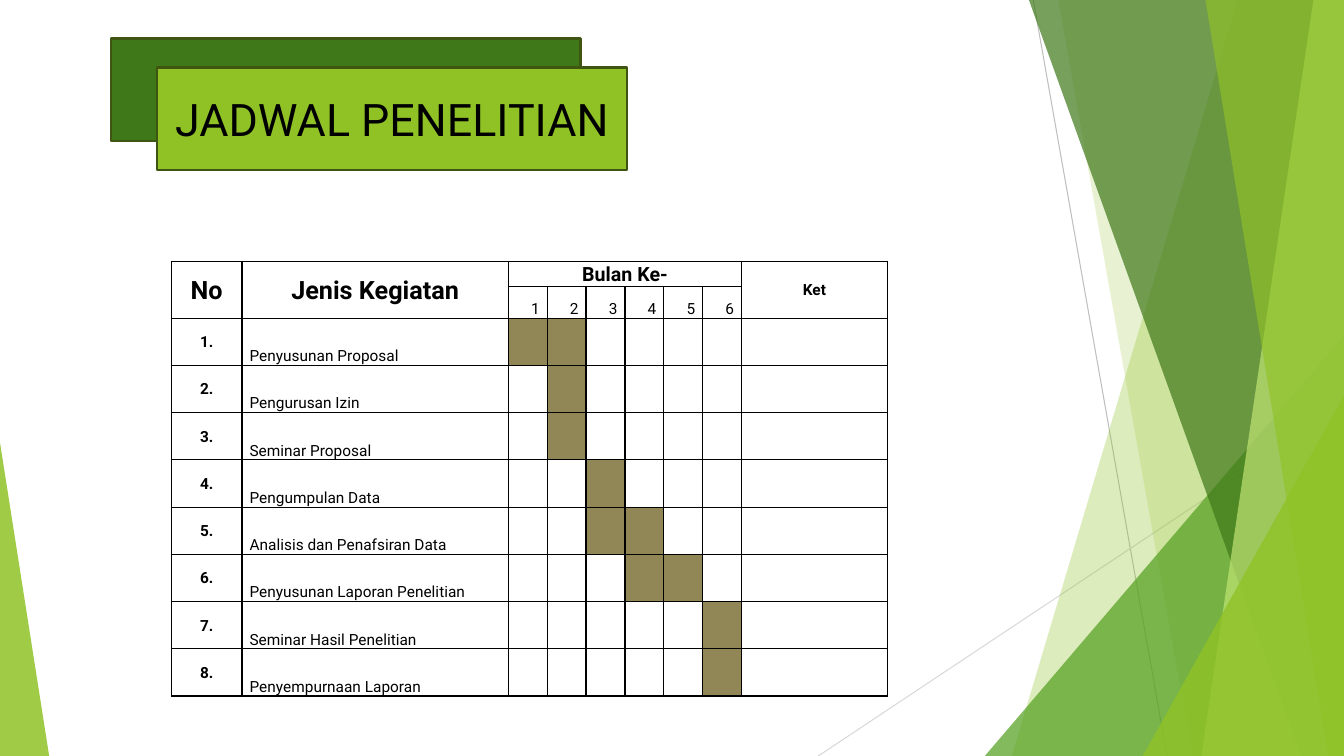
import dataclasses

import pptx
import pptx.dml.color
import pptx.enum.shapes
import pptx.enum.text
import pptx.oxml
import pptx.oxml.ns
import pptx.util

Cm = pptx.util.Cm
Pt = pptx.util.Pt
Align = pptx.enum.text.PP_ALIGN
Anchor = pptx.enum.text.MSO_ANCHOR
Preset = pptx.enum.shapes.MSO_SHAPE
NAMESPACE = pptx.oxml.ns.nsdecls("a")


@dataclasses.dataclass(frozen=True)
class Theme:
    font: str = "Roboto"
    ink: str = "000000"
    paper: str = "FFFFFF"
    lime: str = "90C226"
    pale_lime: str = "C0E474"
    green: str = "54A021"
    forest: str = "3F7819"
    outline: str = "3F5511"
    active: str = "918655"
    line_dark: str = "BFBFBF"
    line_light: str = "D9D9D9"
    title_size: int = 32
    heading_size: int = 18
    group_size: int = 14
    body_size: int = 11


def rgb(value):
    return pptx.dml.color.RGBColor.from_string(value)


class SlideBuilder:
    def __init__(self, slide, theme):
        self.slide = slide
        self.shapes = slide.shapes
        self.theme = theme

    def paint(self, shape, color, opacity=100, outline=None):
        shape.shadow.inherit = False
        shape.fill.solid()
        shape.fill.fore_color.rgb = rgb(color)
        if opacity < 100:
            fill_color = shape.element.spPr.find(".//" + pptx.oxml.ns.qn("a:srgbClr"))
            fill_color.append(pptx.oxml.parse_xml(
                f'<a:alpha {NAMESPACE} val="{opacity * 1000}"/>'))
        if outline:
            shape.line.color.rgb = rgb(outline)
            shape.line.width = Pt(1.5)
        else:
            shape.line.fill.background()

    def line(self, start, end, color):
        connector = self.shapes.add_connector(
            pptx.enum.shapes.MSO_CONNECTOR.STRAIGHT, *map(Cm, start + end))
        connector.line.color.rgb = rgb(color)
        connector.line.width = Pt(0.75)
        connector.element.spPr.append(
            pptx.oxml.parse_xml(f"<a:effectLst {NAMESPACE}/>"))

    def preset(self, kind, box, color, opacity=100, outline=None, adjustment=None):
        shape = self.shapes.add_shape(kind, *map(Cm, box))
        if adjustment is not None:
            shape.adjustments[0] = adjustment
        self.paint(shape, color, opacity, outline)

    def polygon(self, points, color, opacity):
        first, *rest = [(Cm(x), Cm(y)) for x, y in points]
        builder = self.shapes.build_freeform(*first)
        builder.add_line_segments(rest, close=True)
        self.paint(builder.convert_to_shape(), color, opacity)

    def add_text(self, frame, text, size, align, bold=False):
        paragraph = frame.paragraphs[0]
        paragraph.alignment = align
        run = paragraph.add_run()
        run.text = text
        run.font.name = self.theme.font
        run.font.size = Pt(size)
        run.font.bold = bold
        run.font.color.rgb = rgb(self.theme.ink)
        return paragraph

    def title(self, text, box, color, outline):
        title = self.shapes.title
        title.left, title.top, title.width, title.height = map(Cm, box)
        self.paint(title, color, outline=outline)
        frame = title.text_frame
        frame.word_wrap = True
        frame.auto_size = pptx.enum.text.MSO_AUTO_SIZE.NONE
        frame.vertical_anchor = Anchor.MIDDLE
        self.add_text(frame, text, self.theme.title_size, Align.CENTER)
        self.shapes.element.append(title.element)  # bring to the front

    def table(self, left, top, widths, heights):
        table = self.shapes.add_table(
            len(heights), len(widths), Cm(left), Cm(top),
            Cm(sum(widths)), Cm(sum(heights))).table
        table.first_row = table.horz_banding = False
        for column, width in zip(table.columns, widths):
            column.width = Cm(width)
        for row, height in zip(table.rows, heights):
            row.height = Cm(height)
        for cell in table.iter_cells():
            self.fill_cell(cell, self.theme.paper)
            cell.margin_left = cell.margin_right = Cm(0.19)
            cell.margin_top = cell.margin_bottom = 0
            properties = cell._tc.get_or_add_tcPr()
            for position, side in enumerate("LRTB"):
                properties.insert(position, pptx.oxml.parse_xml(
                    f'<a:ln{side} {NAMESPACE} w="12700"><a:solidFill>'
                    f'<a:srgbClr val="{self.theme.ink}"/></a:solidFill></a:ln{side}>'))
        return table

    def fill_cell(self, cell, color):
        cell.fill.solid()
        cell.fill.fore_color.rgb = rgb(color)

    def cell_text(self, cell, text, size, align, anchor, bold=False):
        cell.vertical_anchor = anchor
        paragraph = self.add_text(cell.text_frame, text, size, align, bold)
        paragraph.line_spacing = 1.07
        paragraph.space_after = Pt(8)


WIDTH, HEIGHT = 33.87, 19.05
MONTHS = 6
FIRST_MONTH = 2  # column index of month 1
NOTES = FIRST_MONTH + MONTHS

# Activity and the months in which it runs
ACTIVITIES = [
    ("Penyusunan Proposal", (1, 2)),
    ("Pengurusan Izin", (2,)),
    ("Seminar Proposal", (2,)),
    ("Pengumpulan Data", (3,)),
    ("Analisis dan Penafsiran Data", (3, 4)),
    ("Penyusunan Laporan Penelitian", (4, 5)),
    ("Seminar Hasil Penelitian", (6,)),
    ("Penyempurnaan Laporan", (6,)),
]


def draw_backdrop(page):
    theme = page.theme

    def band(top_x, bottom_x, color, opacity):
        page.polygon([(top_x, 0), (WIDTH, 0), (WIDTH, HEIGHT), (bottom_x, HEIGHT)],
                     color, opacity)

    def corner(left, top, width, color, opacity, apex):
        page.preset(Preset.ISOSCELES_TRIANGLE, (left, top, width, HEIGHT - top),
                    color, opacity, adjustment=apex)

    page.line((26.04, 0), (29.41, HEIGHT), theme.line_dark)
    page.line((WIDTH, 10.24), (20.62, HEIGHT), theme.line_light)
    band(31.19, 25.5, theme.lime, 30)
    band(26.67, 30.05, theme.lime, 20)
    corner(24.82, 8.46, WIDTH - 24.82, theme.green, 72, 1)
    band(25.93, 32.79, theme.forest, 70)
    band(33.1, 30.28, theme.pale_lime, 70)
    band(30.38, 33.48, theme.lime, 65)
    corner(28.8, 9.98, WIDTH - 28.8, theme.lime, 80, 1)
    corner(0, 11.15, 1.24, theme.lime, 85, 0)


def draw_schedule(page):
    theme = page.theme
    schedule = page.table(4.32, 6.58, [1.78, 6.71] + [0.98] * MONTHS + [3.67],
                          [0.64, 0.64] + [1.19] * len(ACTIVITIES))

    # Header rows
    for column, heading, size in ((0, "No", theme.heading_size),
                                  (1, "Jenis Kegiatan", theme.heading_size),
                                  (NOTES, "Ket", theme.body_size)):
        schedule.cell(0, column).merge(schedule.cell(1, column))
        page.cell_text(schedule.cell(0, column), heading, size,
                       Align.CENTER, Anchor.MIDDLE, bold=True)
    months_heading = schedule.cell(0, FIRST_MONTH)
    months_heading.merge(schedule.cell(0, NOTES - 1))
    page.cell_text(months_heading, "Bulan Ke-", theme.group_size,
                   Align.CENTER, Anchor.BOTTOM, bold=True)
    for month in range(1, MONTHS + 1):
        page.cell_text(schedule.cell(1, FIRST_MONTH + month - 1), str(month),
                       theme.body_size, Align.RIGHT, Anchor.BOTTOM)

    # Activity rows
    for number, (activity, months) in enumerate(ACTIVITIES, 1):
        row = number + 1
        page.cell_text(schedule.cell(row, 0), f"{number}.", theme.body_size,
                       Align.CENTER, Anchor.MIDDLE, bold=True)
        page.cell_text(schedule.cell(row, 1), activity, theme.body_size,
                       Align.LEFT, Anchor.BOTTOM)
        for month in months:
            page.fill_cell(schedule.cell(row, FIRST_MONTH + month - 1), theme.active)


def main():
    presentation = pptx.Presentation()
    presentation.slide_width, presentation.slide_height = Cm(WIDTH), Cm(HEIGHT)
    title_only = presentation.slide_layouts[5]
    theme = Theme()
    page = SlideBuilder(presentation.slides.add_slide(title_only), theme)

    draw_backdrop(page)

    # Layered title plates
    page.preset(Preset.RECTANGLE, (2.79, 0.97, 11.84, 2.59), theme.forest,
                outline=theme.outline)
    page.title("JADWAL PENELITIAN", (3.96, 1.7, 11.84, 2.59), theme.lime, theme.outline)

    draw_schedule(page)
    presentation.save("out.pptx")


if __name__ == "__main__":
    main()
